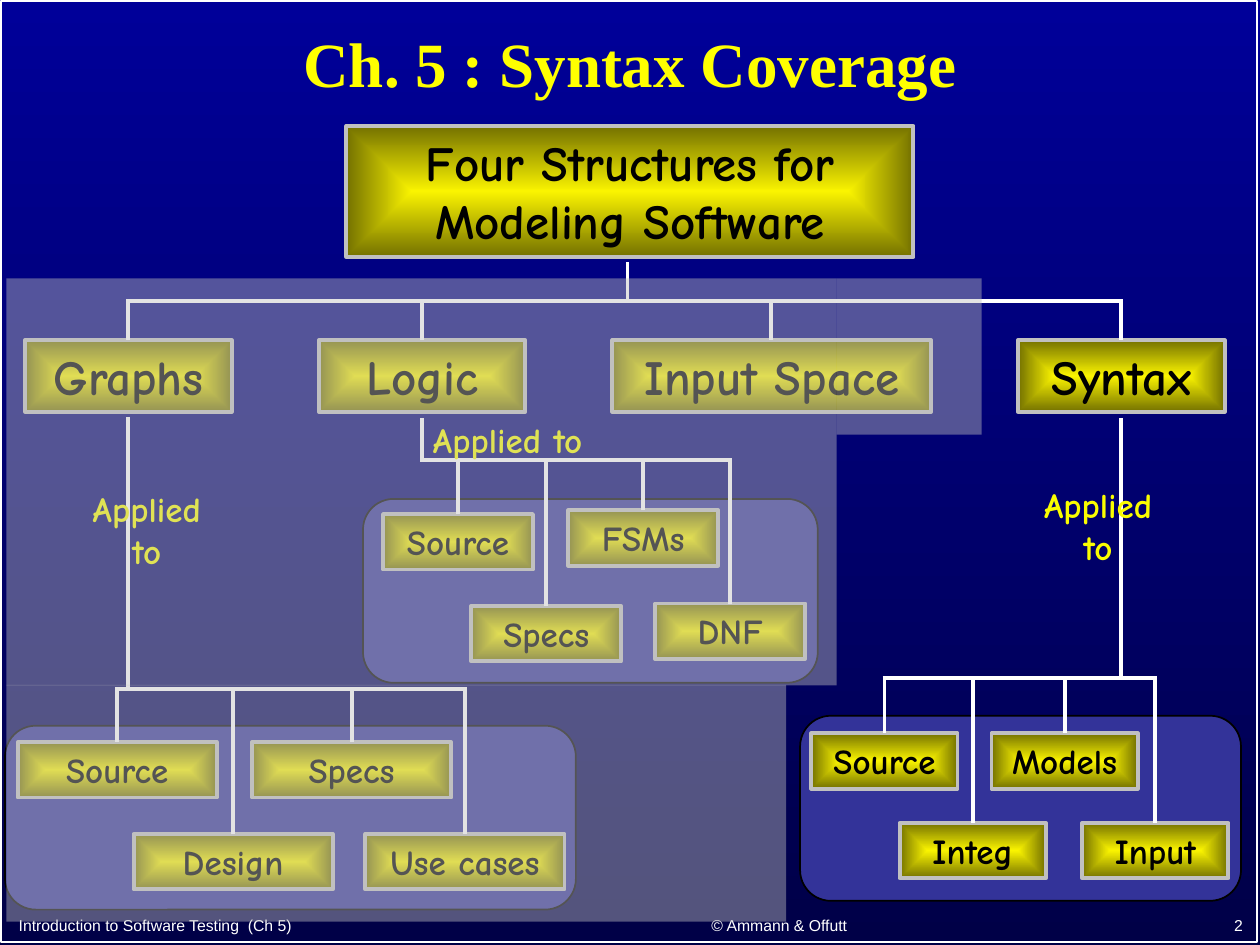
from lxml import etree
from pptx import Presentation
from pptx.dml.color import RGBColor
from pptx.enum.shapes import MSO_CONNECTOR, MSO_SHAPE
from pptx.enum.text import MSO_ANCHOR, MSO_AUTO_SIZE, PP_ALIGN
from pptx.oxml.ns import qn
from pptx.util import Pt

RECT, ROUNDED = MSO_SHAPE.RECTANGLE, MSO_SHAPE.ROUNDED_RECTANGLE
STRAIGHT = MSO_CONNECTOR.STRAIGHT
TOP, MIDDLE, BOTTOM = MSO_ANCHOR.TOP, MSO_ANCHOR.MIDDLE, MSO_ANCHOR.BOTTOM
LEFT, CENTER, RIGHT = PP_ALIGN.LEFT, PP_ALIGN.CENTER, PP_ALIGN.RIGHT
GROW = MSO_AUTO_SIZE.SHAPE_TO_FIT_TEXT

WHITE = RGBColor(0xFF, 0xFF, 0xFF)
BLACK = RGBColor(0, 0, 0)
SILVER = RGBColor(0xC0, 0xC0, 0xC0)
SKY_TOP = RGBColor(0, 0, 0x99)
SKY_BOTTOM = RGBColor(0, 0, 0x47)
TITLE_YELLOW = RGBColor(0xFF, 0xFF, 0)
LABEL_YELLOW = RGBColor(0xFA, 0xFD, 0)
GOLD_CENTER = RGBColor(0xFA, 0xF4, 0)
GOLD_EDGE = RGBColor(0x74, 0x71, 0)
PANEL_BLUE = RGBColor(0x33, 0x33, 0x99)

COMIC, SANS, SERIF = "Comic Neue", "Arial", "Times New Roman"

# Top-level structures: name, left, width, x of the line down to it
STRUCTURES = [("Graphs", 14.4, 118, 73.4), ("Logic", 182.2, 118, 241.2),
              ("Input Space", 349.9, 182.2, 440.6), ("Syntax", 581.8, 118, 640.8)]

# What each structure is applied to: artifacts are name, left, top
APPLICATIONS = [
    dict(panel=(2.9, 414.7, 326.2, 105.1), box_width=113.8,
         artifacts=[("Source", 10.1, 424.1), ("Design", 76.3, 476.6),
                    ("Specs", 144, 424.1), ("Use cases", 208.8, 476.6)],
         stem=(73.4, 238.3), bar_y=393.8, label=(39.6, 275, 88.6, 55.4)),
    dict(panel=(207.4, 285.1, 259.9, 105.1), box_width=85.7,
         artifacts=[("Source", 218.9, 293.8), ("Specs", 269.3, 346.3),
                    ("FSMs", 324.7, 291.6), ("DNF", 374.4, 344.9)],
         stem=(241.2, 239), bar_y=262.8, label=(227.5, 235.4, 125.3, 31.7)),
    dict(panel=(457.2, 409, 252, 105.8), box_width=83.5,
         artifacts=[("Source", 463.7, 419), ("Integ", 514.1, 470.2),
                    ("Models", 566.6, 419), ("Input", 618.5, 470.2)],
         stem=(640.8, 239), bar_y=387.4, label=(583.2, 272.9, 88.6, 55.4)),
]

# Translucent covers over the chapters already treated
VEILS = [(3.6, 159.1, 474.5, 232.6), (3.6, 391.3, 445.7, 135.4),
         (478.1, 159.1, 82.8, 89.3)]


def points(*lengths):
    return [Pt(length) for length in lengths]


def write(shape, text, size, font, color, bold=True, align=CENTER, anchor=TOP):
    frame = shape.text_frame
    frame.word_wrap = True
    frame.vertical_anchor = anchor
    frame.text = text
    paragraph = frame.paragraphs[0]
    paragraph.alignment = align
    style = paragraph.runs[0].font
    style.size, style.name, style.bold = Pt(size), font, bold
    style.color.rgb = color
    return paragraph


def add_plain(shapes, kind, area, fill=None, line=None):
    shape = shapes.add_shape(kind, *points(*area))
    shape.shadow.inherit = False
    if fill is None:
        shape.fill.background()
    else:
        shape.fill.solid()
        shape.fill.fore_color.rgb = fill
    if line is None:
        shape.line.fill.background()
    else:
        shape.line.color.rgb = line
        shape.line.width = Pt(1)
    return shape


def set_gradient(fill, start, end):
    fill.gradient()
    for stop, color, position in zip(fill.gradient_stops, (start, end), (0, 1)):
        stop.color.rgb = color
        stop.position = position


def add_gold_box(shapes, text, area, size):
    box = add_plain(shapes, RECT, area, line=SILVER)
    box.line.width = Pt(2.25)
    set_gradient(box.fill, GOLD_CENTER, GOLD_EDGE)
    # Let the gradient run from the centre to the four sides
    gradient = box._element.spPr.find(qn("a:gradFill"))
    gradient.remove(gradient.find(qn("a:lin")))
    path = etree.SubElement(gradient, qn("a:path"), path="rect")
    etree.SubElement(path, qn("a:fillToRect"),
                     l="50000", t="50000", r="50000", b="50000")
    write(box, text, size, COMIC, BLACK)
    box.text_frame.auto_size = GROW


def add_line(shapes, x1, y1, x2, y2):
    line = shapes.add_connector(STRAIGHT, *points(x1, y1, x2, y2))
    line.line.color.rgb = WHITE
    line.line.width = Pt(2.25)
    etree.SubElement(line._element.spPr, qn("a:effectLst"))


def add_text(shapes, text, area, *style, **options):
    return write(shapes.add_textbox(*points(*area)), text, *style, **options)


def add_structures(slide):
    shapes = slide.shapes.add_group_shape().shapes
    bar_y, box_top = 172, 194.4
    for name, left, width, _ in STRUCTURES:
        add_gold_box(shapes, name, (left, box_top, width, 41), 28)
    add_line(shapes, 72, bar_y, 641.8, bar_y)
    for *_, x in STRUCTURES:
        add_line(shapes, x, bar_y, x, box_top)
    add_line(shapes, 358.6, 149.8, 358.6, bar_y)


def add_application(slide, panel, box_width, artifacts, stem, bar_y, label):
    shapes = slide.shapes.add_group_shape().shapes
    add_plain(shapes, ROUNDED, panel, PANEL_BLUE, BLACK)
    for name, left, top in artifacts:
        add_gold_box(shapes, name, (left, top, box_width, 31.7), 20)
    # Lines: stem, bar, and a drop to the middle of each box
    stem_x, stem_top = stem
    drops = [(left + box_width / 2, top) for _, left, top in artifacts]
    bar_left = min(stem_x, drops[0][0]) - 1
    add_line(shapes, stem_x, stem_top, stem_x, bar_y)
    add_line(shapes, bar_left, bar_y, drops[-1][0] + 1, bar_y)
    for x, top in drops:
        add_line(shapes, x, bar_y, x, top)
    add_text(shapes, "Applied to", label, 20, COMIC, LABEL_YELLOW)


def add_veil(slide, area):
    veil = add_plain(slide.shapes, RECT, area, SILVER)
    color = veil._element.spPr.find(qn("a:solidFill"))[0]
    etree.SubElement(color, qn("a:alpha"), val="44000")


def main():
    prs = Presentation()
    prs.slide_width, prs.slide_height = points(720, 540)
    slide = prs.slides.add_slide(prs.slide_layouts[6])

    # Background and frame
    background = slide.background.fill
    set_gradient(background, SKY_TOP, SKY_BOTTOM)
    background.gradient_angle = 270
    add_plain(slide.shapes, RECT, (0.7, 0.7, 717.8, 537.8), line=WHITE)

    # Footer
    for text, area, align in [
            ("Introduction to Software Testing  (Ch 5)", (3.6, 517.7, 313.2, 20.2), LEFT),
            ("© Ammann & Offutt", (331.2, 517.7, 228.2, 20.2), CENTER),
            ("2", (567.4, 517.7, 149.8, 20.2), RIGHT)]:
        add_text(slide.shapes, text, area, 9, SANS, WHITE,
                 bold=False, align=align, anchor=BOTTOM)

    # Title
    title = add_text(slide.shapes, "Ch. 5 : Syntax Coverage", (12.2, 7.9, 695.5, 60.5),
                     36, SERIF, TITLE_YELLOW, anchor=MIDDLE)
    title.line_spacing = 0.9

    # Tree of structures and their applications
    add_gold_box(slide.shapes, "Four Structures for Modeling Software",
                 (198, 72, 324, 74.9), 28)
    add_structures(slide)
    for application in APPLICATIONS:
        add_application(slide, **application)

    for area in VEILS:
        add_veil(slide, area)
    prs.save("out.pptx")


if __name__ == "__main__":
    main()
